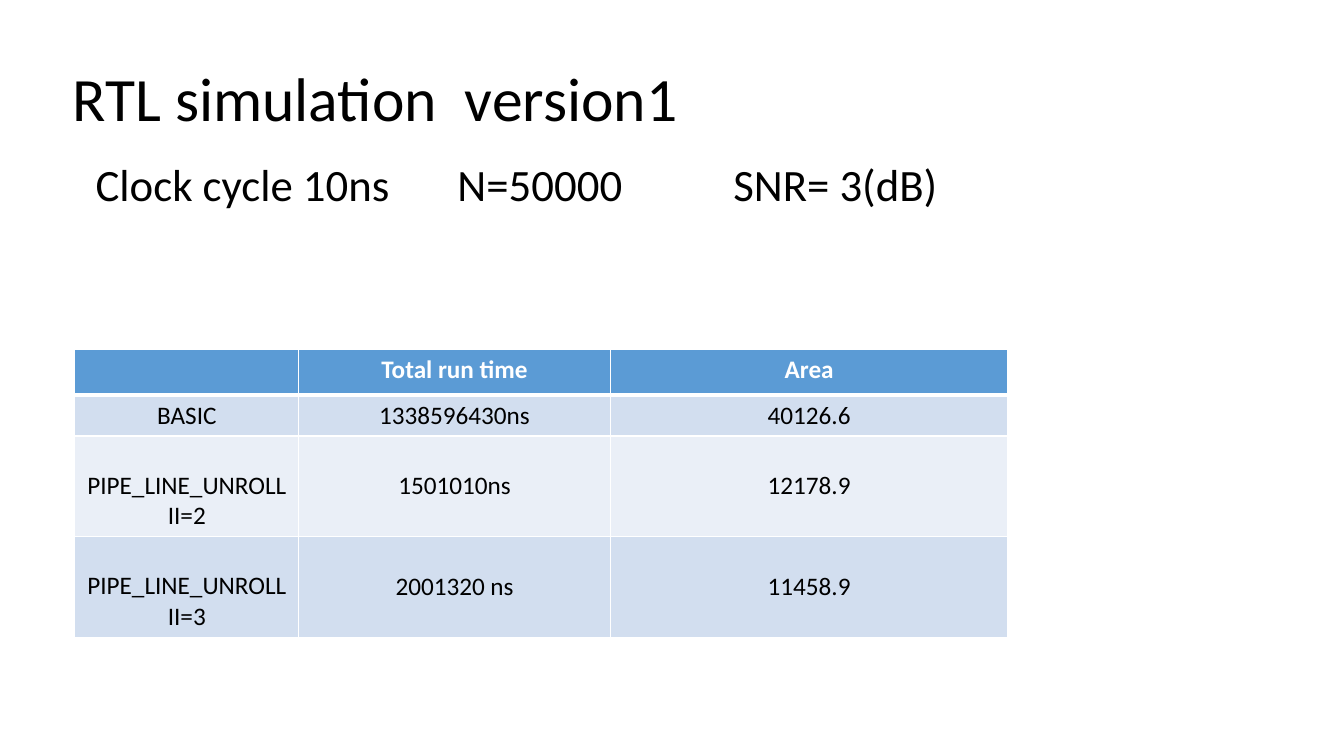
from pptx import Presentation
from pptx.dml.color import RGBColor
from pptx.enum.text import MSO_ANCHOR, PP_ALIGN
from pptx.oxml.ns import qn
from pptx.util import Pt
from lxml.etree import SubElement

BLACK = RGBColor(0x00, 0x00, 0x00)
WHITE = RGBColor(0xFF, 0xFF, 0xFF)
BLUE = RGBColor(0x5B, 0x9B, 0xD5)
PALE = RGBColor(0xD2, 0xDE, 0xEF)
LIGHT = RGBColor(0xEA, 0xEF, 0xF7)

ROWS = [
    ["", "Total run time", "Area"],
    ["BASIC", "1338596430ns", "40126.6"],
    ["PIPE_LINE_UNROLL\nII=2", "1501010ns", "12178.9"],
    ["PIPE_LINE_UNROLL\nII=3", "2001320 ns", "11458.9"],
]
WIDTHS = [160, 222.5, 284]
HEIGHTS = [32.4, 29.2, 72, 72]


def write(frame, text, size=18, color=BLACK, bold=False, align=PP_ALIGN.LEFT, tab=None):
    for i, line in enumerate(text.split("\n")):
        para = frame.add_paragraph() if i else frame.paragraphs[0]
        para.alignment = align
        para.font.size = Pt(size)
        if tab:
            stops = SubElement(para._p.get_or_add_pPr(), qn("a:tabLst"))
            SubElement(stops, qn("a:tab"), pos=str(Pt(tab)), algn="l")
        if line:
            run = para.add_run()
            run.text = line
            font = run.font
            font.name, font.size, font.bold = "Calibri", Pt(size), bold
            font.color.rgb = color


class Deck:
    def __init__(self, width, height):
        self.file = Presentation()
        self.file.slide_width, self.file.slide_height = Pt(width), Pt(height)
        self.slide = self.file.slides.add_slide(self.file.slide_layouts[5])

    def title(self, text, left, top, width, height):
        shape = self.slide.shapes.title
        shape.left, shape.top = Pt(left), Pt(top)
        shape.width, shape.height = Pt(width), Pt(height)
        shape.text_frame.vertical_anchor = MSO_ANCHOR.TOP
        write(shape.text_frame, text, size=44)

    def label(self, text, left, top, width, height, **style):
        frame = self.slide.shapes.add_textbox(
            Pt(left), Pt(top), Pt(width), Pt(height)).text_frame
        frame.word_wrap = True
        write(frame, text, **style)

    def edge(self, cell, side, weight):
        line = SubElement(cell._tc.get_or_add_tcPr(), qn("a:" + side), w=str(Pt(weight)))
        fill = SubElement(line, qn("a:solidFill"))
        SubElement(fill, qn("a:srgbClr"), val=str(WHITE))

    def cell(self, cell, text, row, col):
        head = row == 0
        for side in ("lnL", "lnR", "lnT", "lnB"):
            thick = (head and side == "lnB") or (row == 1 and side == "lnT")
            self.edge(cell, side, 3 if thick else 1)
        cell.fill.solid()
        cell.fill.fore_color.rgb = BLUE if head else (PALE if row % 2 else LIGHT)
        if row > 1:
            cell.vertical_anchor = MSO_ANCHOR.MIDDLE if col else MSO_ANCHOR.BOTTOM
        write(cell.text_frame, text, color=WHITE if head else BLACK,
              bold=head, align=PP_ALIGN.CENTER)

    def table(self, rows, left, top, widths, heights):
        grid = self.slide.shapes.add_table(
            len(rows), len(widths), Pt(left), Pt(top),
            Pt(sum(widths)), Pt(sum(heights))).table
        for col, width in zip(grid.columns, widths):
            col.width = Pt(width)
        for r, (texts, height) in enumerate(zip(rows, heights)):
            grid.rows[r].height = Pt(height)
            for c, text in enumerate(texts):
                self.cell(grid.cell(r, c), text, r, c)


def main():
    deck = Deck(960, 540)
    deck.title("RTL simulation  version1", 44.6, 38.9, 448.6, 60.5)
    deck.label("Clock cycle 10ns", 61.2, 108.7, 253.4, 46, size=32)
    deck.label("N=50000\tSNR= 3(dB)", 319.7, 108.7, 440.6, 46, size=32, tab=197)
    deck.table(ROWS, 53.5, 249.8, WIDTHS, HEIGHTS)
    deck.file.save("out.pptx")


if __name__ == "__main__":
    main()
